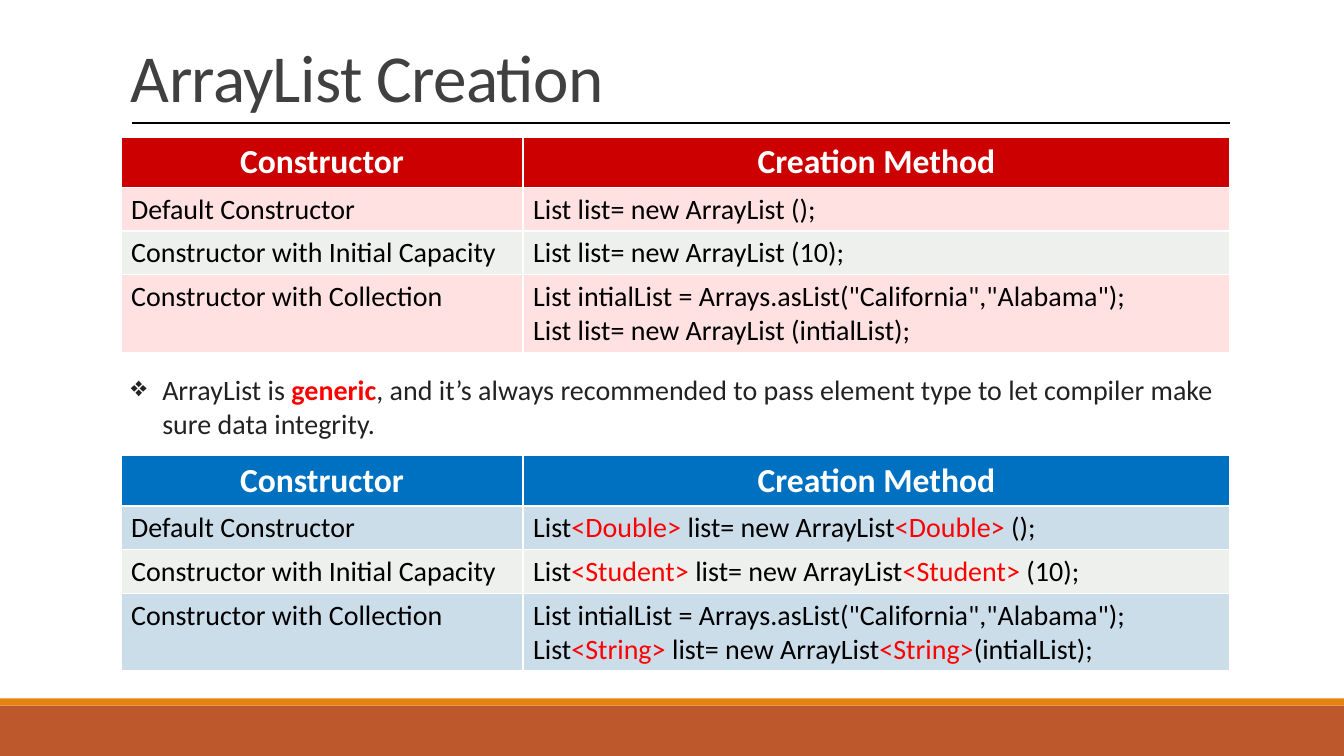
from dataclasses import dataclass

from lxml import etree
from pptx import Presentation
from pptx.dml.color import RGBColor
from pptx.enum.shapes import MSO_CONNECTOR, MSO_SHAPE
from pptx.enum.text import MSO_ANCHOR, PP_ALIGN
from pptx.oxml.ns import qn
from pptx.util import Cm, Pt

RECTANGLE = MSO_SHAPE.RECTANGLE
STRAIGHT = MSO_CONNECTOR.STRAIGHT
BOTTOM = MSO_ANCHOR.BOTTOM
CENTER = PP_ALIGN.CENTER


@dataclass(frozen=True)
class Theme:
    font: str = "Calibri"
    title_size: int = 48
    header_size: int = 24
    body_size: int = 20
    title: str = "404040"
    note: str = "222222"
    black: str = "000000"
    white: str = "FFFFFF"
    highlight: str = "FF0000"
    footer: str = "BD582C"
    footer_edge: str = "E48312"
    red: str = "CC0000"
    red_tint: str = "FFE1E1"
    blue: str = "0070C0"
    blue_tint: str = "CCDDEA"
    gray_tint: str = "EEF0ED"


theme = Theme()


def write_text(paragraph, text, size, color, bold=False, bold_highlight=False):
    for index, part in enumerate(text.split("|")):
        highlighted = index % 2 == 1
        run = paragraph.add_run()
        run.text = part
        run.font.name = theme.font
        run.font.size = Pt(size)
        run.font.bold = bold or (highlighted and bold_highlight)
        run.font.color.rgb = RGBColor.from_string(theme.highlight if highlighted else color)


def add_text_box(top, height):
    text_frame = slide.shapes.add_textbox(left, Cm(top), content_width, Cm(height)).text_frame
    text_frame.word_wrap = True
    return text_frame


presentation = Presentation()
presentation.slide_width = Cm(33.87)
presentation.slide_height = Cm(19.05)
slide = presentation.slides.add_slide(presentation.slide_layouts[6])

left = Cm(3.05)
content_width = Cm(27.94)

for top, height, color in [(17.78, 1.27, theme.footer), (17.6, 0.18, theme.footer_edge)]:
    band = slide.shapes.add_shape(RECTANGLE, 0, Cm(top), presentation.slide_width, Cm(height))
    band.shadow.inherit = False
    band.fill.solid()
    band.fill.fore_color.rgb = RGBColor.from_string(color)
    band.line.fill.background()

title_rule = slide.shapes.add_connector(STRAIGHT, Cm(3.33), Cm(3.1), Cm(31), Cm(3.1))
title_rule.line.color.rgb = RGBColor.from_string(theme.black)
title_rule.line.width = Pt(1)
etree.SubElement(title_rule._element.spPr, qn("a:effectLst"))

title_frame = add_text_box(0.64, 2.41)
title_frame.vertical_anchor = BOTTOM
title_paragraph = title_frame.paragraphs[0]
title_paragraph.line_spacing = 0.85
write_text(title_paragraph, "ArrayList Creation", theme.title_size, theme.title)
title_paragraph.runs[0].font._element.set("spc", "-50")

note_paragraph = add_text_box(9.27, 1.96).paragraphs[0]
note_properties = note_paragraph._p.get_or_add_pPr()
note_properties.set("marL", str(Cm(0.79)))
note_properties.set("indent", str(-Cm(0.79)))
etree.SubElement(note_properties, qn("a:buChar")).set("char", "❖")
write_text(
    note_paragraph,
    "ArrayList is |generic|, and it’s always recommended to pass element type "
    "to let compiler make sure data integrity.",
    theme.body_size, theme.note, bold_highlight=True,
)

headers = ["Constructor", "Creation Method"]
constructors = ["Default Constructor", "Constructor with Initial Capacity", "Constructor with Collection"]
initial_list = 'List intialList = Arrays.asList("California","Alabama");'
column_widths = [10.13, 17.81]
row_heights = [1.25, 1.1, 1.1, 1.95]

raw_methods = [
    "List list= new ArrayList ();",
    "List list= new ArrayList (10);",
    initial_list + "\nList list= new ArrayList (intialList);",
]
generic_methods = [
    "List|<Double> |list= new ArrayList|<Double> |();",
    "List|<Student> |list= new ArrayList|<Student> |(10);",
    initial_list + "\nList|<String>| list= new ArrayList|<String>|(intialList);",
]

for top, header_fill, tint, methods in [
    (3.45, theme.red, theme.red_tint, raw_methods),
    (11.48, theme.blue, theme.blue_tint, generic_methods),
]:
    table = slide.shapes.add_table(
        len(row_heights), len(headers), left, Cm(top), content_width, Cm(sum(row_heights))
    ).table
    for column, width in zip(table.columns, column_widths):
        column.width = Cm(width)
    for row, height in zip(table.rows, row_heights):
        row.height = Cm(height)
    row_fills = [header_fill, tint, theme.gray_tint, tint]
    for row_index, texts in enumerate([headers, *zip(constructors, methods)]):
        is_header = row_index == 0
        size = theme.header_size if is_header else theme.body_size
        color = theme.white if is_header else theme.black
        for column_index, text in enumerate(texts):
            cell = table.cell(row_index, column_index)
            cell.fill.solid()
            cell.fill.fore_color.rgb = RGBColor.from_string(row_fills[row_index])
            for line_index, line in enumerate(text.split("\n")):
                text_frame = cell.text_frame
                paragraph = text_frame.add_paragraph() if line_index else text_frame.paragraphs[0]
                if is_header:
                    paragraph.alignment = CENTER
                write_text(paragraph, line, size, color, bold=is_header)

presentation.save("out.pptx")
